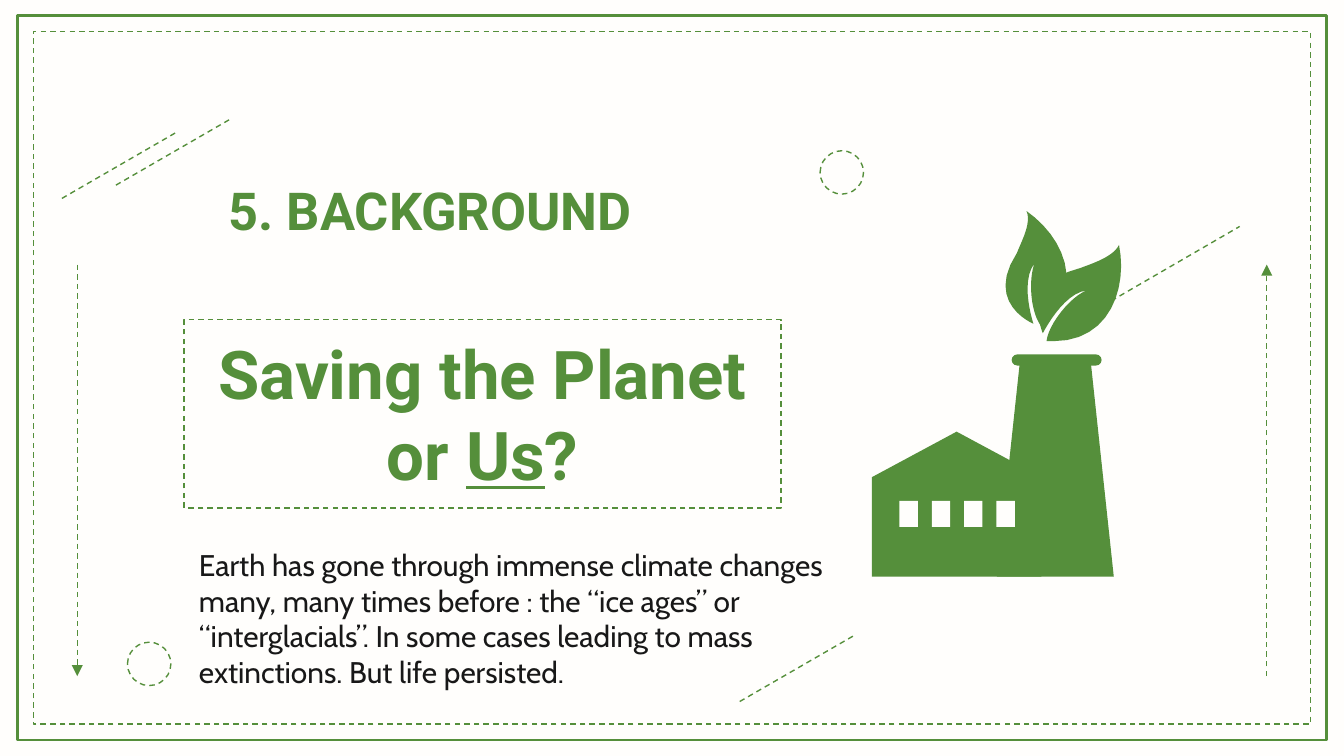
from lxml import etree
from pptx import Presentation
from pptx.dml.color import RGBColor
from pptx.enum.dml import MSO_LINE
from pptx.enum.shapes import MSO_CONNECTOR, MSO_SHAPE
from pptx.enum.text import MSO_ANCHOR, MSO_AUTO_SIZE, PP_ALIGN
from pptx.oxml.ns import qn
from pptx.util import Cm, Pt

COLORS = {"green": "558F3B", "paper": "FFFEFC", "ink": "181818"}


def rgb(name):
    return RGBColor.from_string(COLORS[name])


def style_line(line, width=0.75, dashed=True):
    line.color.rgb = rgb("green")
    line.width = Pt(width)
    if dashed:
        line.dash_style = MSO_LINE.DASH


def style_fill(shape, color):
    shape.shadow.inherit = False
    shape.line.fill.background()
    if color:
        shape.fill.solid()
        shape.fill.fore_color.rgb = rgb(color)
    else:
        shape.fill.background()


def place(shape, box):
    shape.left, shape.top, shape.width, shape.height = (Cm(value) for value in box)


def add_preset(slide, kind, box, fill=None):
    shape = slide.shapes.add_shape(kind, *(Cm(value) for value in box))
    style_fill(shape, fill)
    return shape


def add_line(slide, start, end, arrow=False):
    points = [Cm(value) for value in (*start, *end)]
    connector = slide.shapes.add_connector(MSO_CONNECTOR.STRAIGHT, *points)
    style_line(connector.line)
    if arrow:
        outline = connector.line._get_or_add_ln()
        etree.SubElement(outline, qn("a:tailEnd"), type="triangle")
    etree.SubElement(connector._element.spPr, qn("a:effectLst"))


def write_text(shape, *runs, size, font, color, bold=False,
               align=PP_ALIGN.LEFT, anchor=MSO_ANCHOR.TOP):
    """Write one paragraph; each run is (text, underlined)."""
    frame = shape.text_frame
    frame.word_wrap = True
    frame.auto_size = MSO_AUTO_SIZE.NONE
    frame.vertical_anchor = anchor
    frame.margin_left = frame.margin_right = Cm(0.25)
    frame.margin_top = frame.margin_bottom = Cm(0.25)
    paragraph = frame.paragraphs[0]
    paragraph.alignment = align
    paragraph.space_before = Pt(0)
    for text, underlined in runs:
        run = paragraph.add_run()
        run.text = text
        run.font.size, run.font.name = Pt(size), font
        run.font.bold, run.font.underline = bold, underlined
        run.font.color.rgb = rgb(color)


def add_outline(slide, points, origin):
    left, top = origin
    corners = [(Cm(left + x), Cm(top + y)) for x, y in points]
    builder = slide.shapes.build_freeform(*corners[0], scale=1.0)
    builder.add_line_segments(corners[1:], close=True)
    style_fill(builder.convert_to_shape(), "green")


def trace_curves(start, curves, steps=12):
    """Turn cubic curves into a list of close points."""
    points = [start]
    for first, second, end in curves:
        begin = points[-1]
        for step in range(1, steps + 1):
            t = step / steps
            weights = ((1 - t) ** 3, 3 * t * (1 - t) ** 2, 3 * t * t * (1 - t), t ** 3)
            controls = (begin, first, second, end)
            points.append(tuple(sum(weight * point[axis] for weight, point
                                    in zip(weights, controls)) for axis in (0, 1)))
    return points


def draw_decoration(slide, box):
    left, top, width, height = box
    # Double frame
    for inset, line_width, dashed in ((0, 1.5, False), (0.3, 0.75, True)):
        frame = add_preset(slide, MSO_SHAPE.RECTANGLE, (
            left + inset, top + inset, width - 2 * inset, height - 2 * inset))
        style_line(frame.line, line_width, dashed)
    # Slanted strokes, each from its lower left end
    for x, y in ((1.86, 3.2), (0.84, 3.45), (13.65, 12.96), (20.2, 5.66)):
        run, rise = (2.9, 1.68) if x > 20 else (2.2, 1.27)
        add_line(slide, (left + x, top + y), (left + x + run, top + y - rise))
    # Dashed rings
    for x, y in ((2.08, 11.84), (15.17, 2.55)):
        ring = add_preset(slide, MSO_SHAPE.OVAL, (left + x, top + y, 0.82, 0.82), "paper")
        style_line(ring.line)
    # Side arrows, down on the left and up on the right
    upper, lower, inset = top + 4.7, top + 12.48, 1.13
    add_line(slide, (left + inset, upper), (left + inset, lower), arrow=True)
    right = left + width - inset
    add_line(slide, (right, lower), (right, upper), arrow=True)


def draw_texts(slide, box):
    left, top, _, _ = box
    heading_style = {"font": "Roboto", "color": "green", "bold": True,
                     "align": PP_ALIGN.CENTER}
    # Section heading
    heading = slide.shapes.add_textbox(0, 0, 0, 0)
    place(heading, (left, top, 9.3, 2.9))
    write_text(heading, ("5. BACKGROUND", False), size=28,
               anchor=MSO_ANCHOR.MIDDLE, **heading_style)
    # Framed title
    title = slide.shapes.title
    place(title, (left, top + 3.53, 11.28, 3.56))
    style_line(title.line)
    write_text(title, ("Saving the Planet or ", False), ("Us", True), ("?", False),
               size=36, **heading_style)
    # Body text
    body = slide.placeholders[1]
    place(body, (left + 0.03, top + 7.57, 13.31, 3.15))
    write_text(body, ("Earth has gone through immense climate changes many, many "
                      "times before : the “ice ages” or “interglacials”. In some "
                      "cases leading to mass extinctions. But life persisted.", False),
               size=16, font="Cabin", color="ink")


def draw_factory(slide, box):
    left, top, width, height = box
    origin = (left, top)
    # Chimney with its rim
    add_outline(slide, [(2.79, 2.9), (2.36, height), (4.57, height), (4.14, 2.9)], origin)
    rim = add_preset(slide, MSO_SHAPE.ROUNDED_RECTANGLE,
                     (left + 2.64, top + 2.71, 1.7, 0.21), "green")
    rim.adjustments[0] = 0.5
    # Hall and windows
    add_outline(slide, [(1.6, 4.17), (0, 5.03), (0, height), (3.2, height), (3.2, 5.03)],
                origin)
    for index in range(4):
        add_preset(slide, MSO_SHAPE.RECTANGLE,
                   (left + 0.52 + 0.61 * index, top + 5.48, 0.35, 0.49), "paper")
    # Leaves
    left_leaf = trace_curves((2.92, 0), [
        ((3.02, 0.23), (2.82, 0.58), (2.74, 0.79)),
        ((2.11, 1.75), (3.05, 2.13), (3.05, 2.13)),
        ((3.05, 2.13), (2.79, 1.35), (3.07, 0.99)),
        ((2.95, 1.32), (3, 1.93), (3.2, 2.18)),
        ((4.09, 1.42), (3.58, 0.46), (2.92, 0))])
    right_leaf = trace_curves((4.67, 0.64), [
        ((4.57, 0.86), (4.17, 0.99), (3.96, 1.07)),
        ((2.79, 1.35), (3.23, 2.31), (3.23, 2.31)),
        ((3.23, 2.31), (3.61, 1.55), (4.06, 1.5)),
        ((3.73, 1.63), (3.33, 2.16), (3.3, 2.46)),
        ((3.33, 2.46), (3.38, 2.46), (3.43, 2.46)),
        ((4.52, 2.46), (width, 1.42), (4.67, 0.64))])
    for leaf in (left_leaf, right_leaf):
        add_outline(slide, leaf, origin)


def main():
    presentation = Presentation()
    presentation.slide_width, presentation.slide_height = Cm(25.4), Cm(14.29)
    slide = presentation.slides.add_slide(presentation.slide_layouts[0])
    slide.background.fill.solid()
    slide.background.fill.fore_color.rgb = rgb("paper")
    draw_decoration(slide, (0.33, 0.3, 24.74, 13.69))
    draw_texts(slide, (3.48, 2.51, 13.34, 10.72))
    draw_factory(slide, (16.48, 3.99, 4.83, 6.91))
    presentation.save("out.pptx")


if __name__ == "__main__":
    main()
